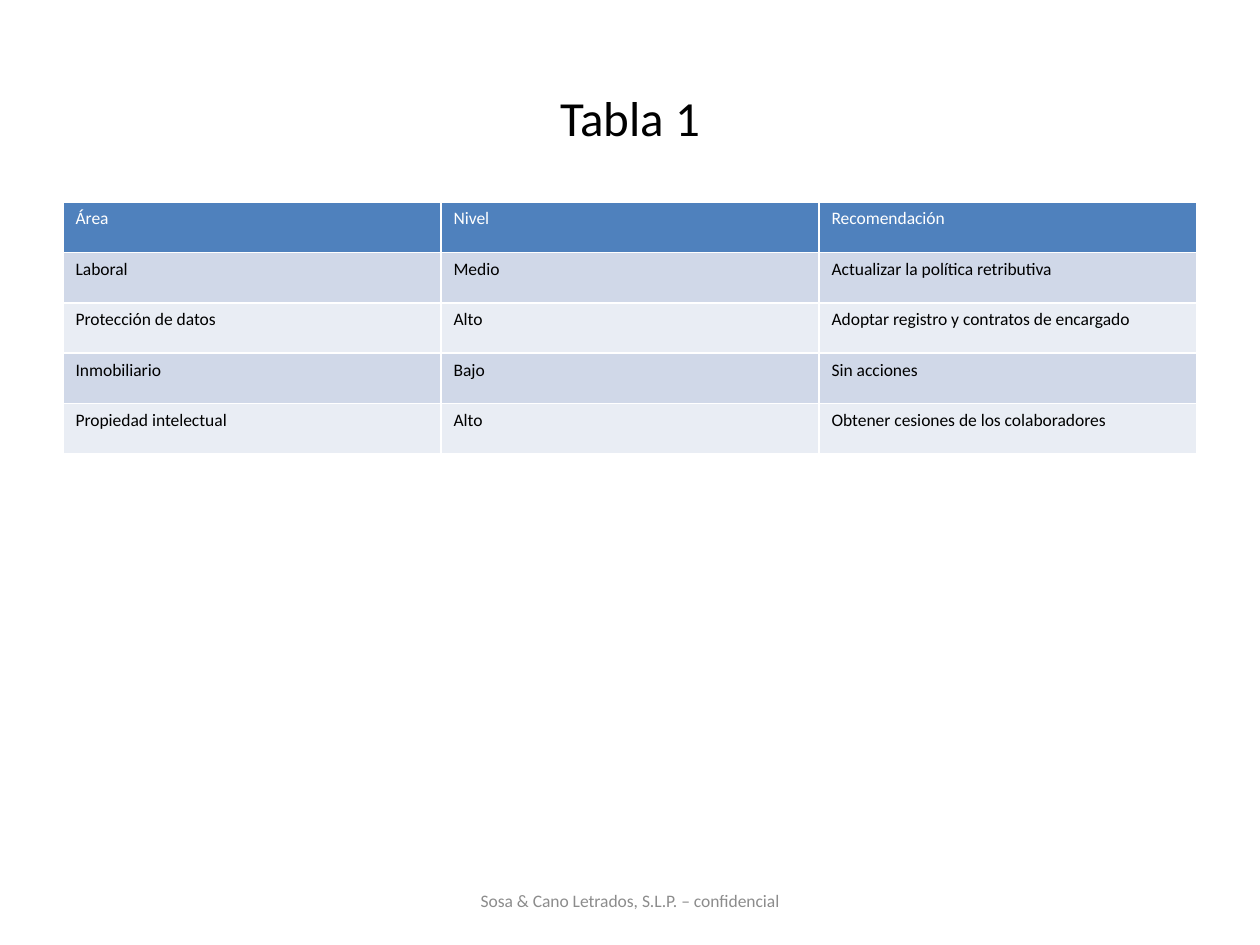
from pptx import Presentation
from pptx.dml.color import RGBColor
from pptx.enum.text import MSO_ANCHOR, PP_ALIGN
from pptx.util import Inches, Pt

CENTER = PP_ALIGN.CENTER
MIDDLE = MSO_ANCHOR.MIDDLE
TITLE_ONLY_LAYOUT = 5
PX_PER_INCH = 126

COLORS = {
    "text": "000000",
    "header_text": "FFFFFF",
    "header": "4F81BD",
    "odd_row": "D0D8E8",
    "even_row": "E9EDF4",
    "footer": "8C8C8C",
}

ROWS = [
    ("Área", "Nivel", "Recomendación"),
    ("Laboral", "Medio", "Actualizar la política retributiva"),
    ("Protección de datos", "Alto", "Adoptar registro y contratos de encargado"),
    ("Inmobiliario", "Bajo", "Sin acciones"),
    ("Propiedad intelectual", "Alto", "Obtener cesiones de los colaboradores"),
]


def px(length):
    return Inches(length / PX_PER_INCH)


def color(name):
    return RGBColor.from_string(COLORS[name])


class SlideBuilder:
    """Holds the text style and the slide being built."""

    font_name = "Calibri"

    def __init__(self, slide):
        self.slide = slide

    def set_text(self, frame, text, size, color_name, alignment=None):
        paragraph = frame.paragraphs[0]
        paragraph.text = text
        if alignment is not None:
            paragraph.alignment = alignment
        font = paragraph.runs[0].font
        values = {"name": self.font_name, "size": Pt(size), "bold": False}
        for attribute, value in values.items():
            setattr(font, attribute, value)
        font.color.rgb = color(color_name)

    def title(self, text, left, top, width, height):
        shape = self.slide.shapes.title
        box = {"left": left, "top": top, "width": width, "height": height}
        for attribute, length in box.items():
            setattr(shape, attribute, px(length))
        shape.text_frame.vertical_anchor = MIDDLE
        self.set_text(shape.text_frame, text, 28, "text", CENTER)

    def table(self, rows, left, top, width, height):
        box = map(px, (left, top, width, height))
        table = self.slide.shapes.add_table(len(rows), len(rows[0]), *box).table
        for row_index, row in enumerate(rows):
            if row_index == 0:
                fill_name, text_name = "header", "header_text"
            else:
                fill_name = "odd_row" if row_index % 2 else "even_row"
                text_name = "text"
            for column_index, text in enumerate(row):
                cell = table.cell(row_index, column_index)
                cell.fill.solid()
                cell.fill.fore_color.rgb = color(fill_name)
                self.set_text(cell.text_frame, text, 10, text_name)

    def footer(self, text, left, top, width, height):
        box = map(px, (left, top, width, height))
        frame = self.slide.shapes.add_textbox(*box).text_frame
        frame.word_wrap = True
        frame.vertical_anchor = MIDDLE
        self.set_text(frame, text, 10, "footer", CENTER)


def main():
    presentation = Presentation()
    presentation.slide_width = px(1260)
    presentation.slide_height = px(945)
    layout = presentation.slide_layouts[TITLE_ONLY_LAYOUT]
    builder = SlideBuilder(presentation.slides.add_slide(layout))
    builder.title("Tabla 1", 63, 38, 1134, 158)
    builder.table(ROWS, 63, 202, 1134, 252)
    builder.footer("Sosa & Cano Letrados, S.L.P. – confidencial", 430, 876, 400, 50)
    presentation.save("out.pptx")


if __name__ == "__main__":
    main()
